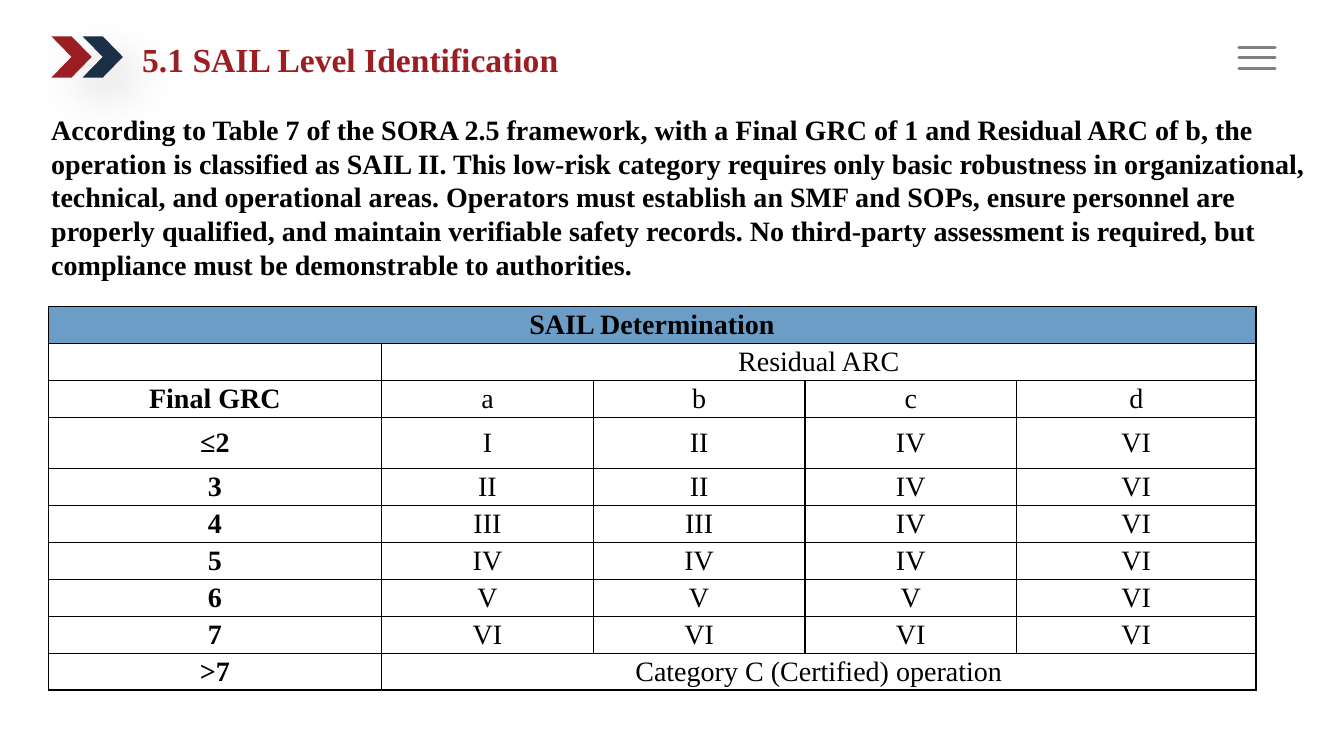
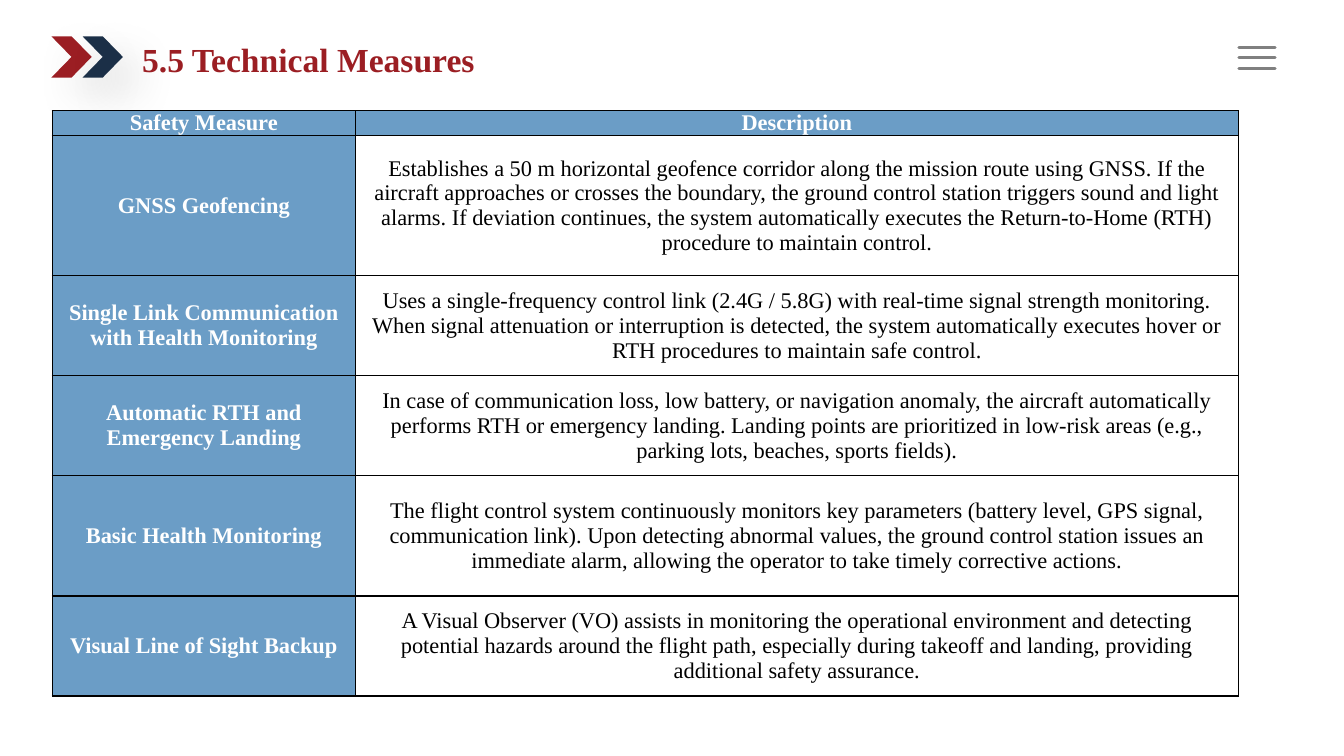
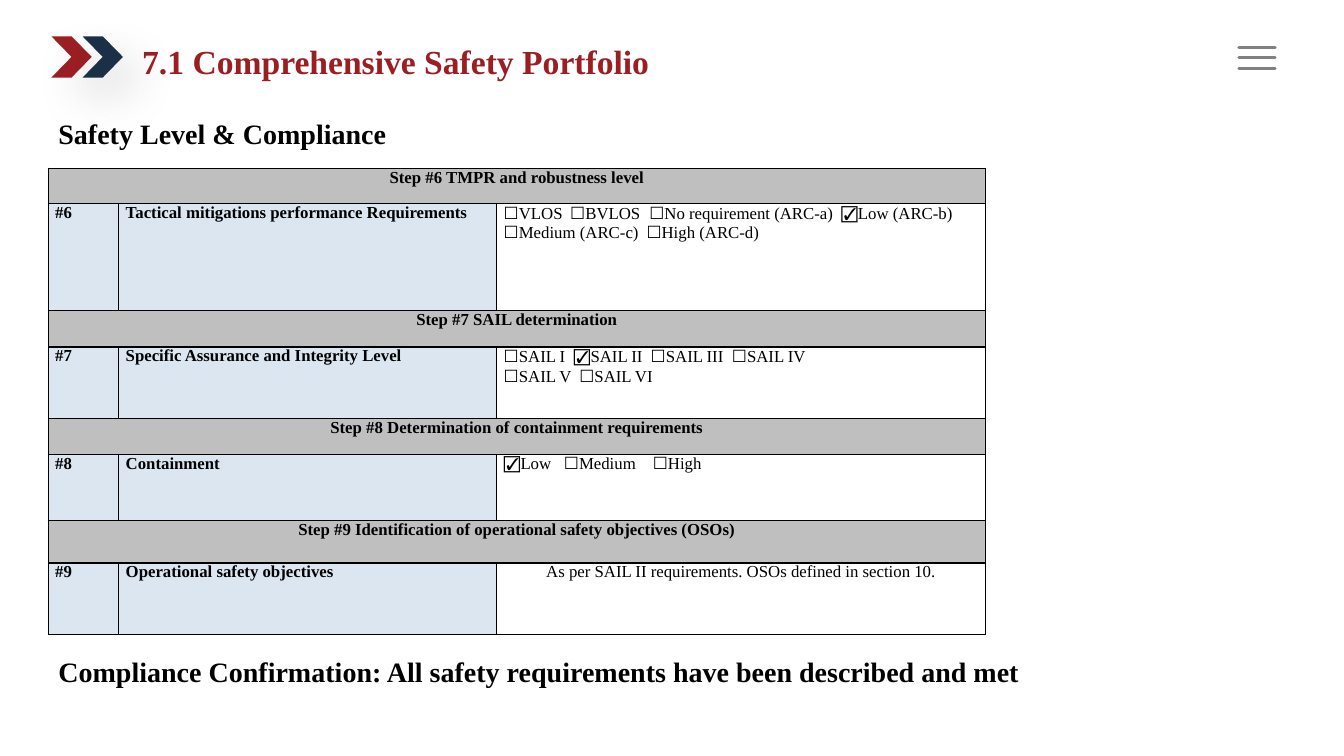
from lxml import etree
from pptx import Presentation
from pptx import util as u
from pptx.dml.color import RGBColor
from pptx.enum import shapes, text
from pptx.oxml import ns

RED = RGBColor(0x9B, 0x1E, 0x23)
NAVY = RGBColor(0x1B, 0x2F, 0x47)
GRAY = RGBColor(0x80, 0x80, 0x80)
SILVER = RGBColor(0xBF, 0xBF, 0xBF)
BLUE = RGBColor(0x6B, 0x9D, 0xC6)
PALE_BLUE = RGBColor(0xDC, 0xE6, 0xF1)
BLACK = RGBColor(0, 0, 0)
WHITE = RGBColor(0xFF, 0xFF, 0xFF)
SERIF = "Times New Roman"
SYMBOLS = "Karla"
LEFT = text.PP_ALIGN.LEFT
CENTER = text.PP_ALIGN.CENTER


def add_grid(slide, left, top, column_widths, row_heights, margin, anchor):
    table = slide.shapes.add_table(
        len(row_heights), len(column_widths), u.Pt(left), u.Pt(top),
        u.Pt(sum(column_widths)), u.Pt(sum(row_heights))).table
    table.first_row = False
    table.horz_banding = False
    for column, width in zip(table.columns, column_widths):
        column.width = u.Pt(width)
    for row, height in zip(table.rows, row_heights):
        row.height = u.Pt(height)
    for cell in table.iter_cells():
        cell.margin_left = cell.margin_right = u.Pt(margin)
        cell.margin_top = cell.margin_bottom = 0
        cell.vertical_anchor = anchor
        properties = cell._tc.get_or_add_tcPr()
        for side in ("a:lnL", "a:lnR", "a:lnT", "a:lnB"):
            border = etree.SubElement(properties, ns.qn(side), w=str(u.Pt(1)))
            solid = etree.SubElement(border, ns.qn("a:solidFill"))
            etree.SubElement(solid, ns.qn("a:srgbClr"), val=str(BLACK))
        cell.fill.solid()
        cell.fill.fore_color.rgb = WHITE
    return table


def write(paragraph, content, size, bold=True, color=BLACK, alignment=LEFT):
    if content:
        paragraph.text = content
    paragraph.alignment = alignment
    paragraph.font.name = SERIF
    paragraph.font.size = u.Pt(size)
    paragraph.font.bold = bold
    paragraph.font.color.rgb = color


presentation = Presentation()
presentation.slide_width = u.Pt(960)
presentation.slide_height = u.Pt(540)
layout = presentation.slide_layouts[5]
for placeholder in list(layout.placeholders)[1:]:
    placeholder.element.getparent().remove(placeholder.element)

slides = []
for title_text, width, height in (
        ("5.1 SAIL Level Identification", 586, 56.2),
        ("5.5 Technical Measures", 586, 56.2),
        ("7.1 Comprehensive Safety Portfolio", 428, 59.8)):
    slide = presentation.slides.add_slide(layout)
    title = slide.shapes.title
    title.left, title.top = u.Pt(94.3), u.Pt(15.8)
    title.width, title.height = u.Pt(width), u.Pt(height)
    title.text_frame.vertical_anchor = text.MSO_ANCHOR.MIDDLE
    title_paragraph = title.text_frame.paragraphs[0]
    write(title_paragraph, title_text, 24, color=RED)
    title_paragraph.line_spacing = 0.9
    slides.append(slide)
sail_slide, measures_slide, portfolio_slide = slides

for left, fill in ((36.7, RED), (59, NAVY)):
    chevron = sail_slide.shapes.add_shape(
        shapes.MSO_SHAPE.CHEVRON, u.Pt(left), u.Pt(25.9), u.Pt(28.8), u.Pt(29.5))
    chevron.fill.solid()
    chevron.fill.fore_color.rgb = fill
    chevron.line.fill.background()
    chevron.shadow.inherit = False
    effects = chevron.element.spPr.find(ns.qn("a:effectLst"))
    shadow = etree.SubElement(
        effects, ns.qn("a:outerShdw"), blurRad=str(u.Pt(32)), dist=str(u.Pt(19)),
        dir="2700000", algn="tl", rotWithShape="0")
    shade = etree.SubElement(shadow, ns.qn("a:srgbClr"), val=str(BLACK))
    etree.SubElement(shade, ns.qn("a:alpha"), val="14000")
    layout.shapes.element.append(chevron.element)

for index in range(3):
    y = u.Pt(33.7 + 7.5 * index)
    menu_line = sail_slide.shapes.add_connector(
        shapes.MSO_CONNECTOR.STRAIGHT, u.Pt(885), y, u.Pt(910.8), y)
    menu_line.line.color.rgb = GRAY
    menu_line.line.width = u.Pt(2.25)
    menu_line.line._get_or_add_ln().set("cap", "rnd")
    etree.SubElement(menu_line.element.spPr, ns.qn("a:effectLst"))
    layout.shapes.element.append(menu_line.element)

for slide, left, top, width, height, content in (
        (sail_slide, 29.5, 77, 931, 128,
         "According to Table 7 of the SORA 2.5 framework, with a Final GRC of 1 and "
         "Residual ARC of b, the operation is classified as SAIL II. This low-risk "
         "category requires only basic robustness in organizational, technical, and "
         "operational areas. Operators must establish an SMF and SOPs, ensure personnel "
         "are properly qualified, and maintain verifiable safety records. No third-party "
         "assessment is required, but compliance must be demonstrable to authorities."),
        (portfolio_slide, 34.6, 80, 840, 31.7, "Safety Level & Compliance"),
        (portfolio_slide, 34.6, 463.7, 840, 31.7,
         "Compliance Confirmation: All safety requirements have been described and met")):
    box = slide.shapes.add_textbox(u.Pt(left), u.Pt(top), u.Pt(width), u.Pt(height))
    box.text_frame.word_wrap = True
    write(box.text_frame.paragraphs[0], content, 20)

sail_rows = (
    ("SAIL Determination", "", "", "", ""),
    ("", "Residual ARC", "", "", ""),
    ("Final GRC", "a", "b", "c", "d"),
    ("≤2", "I", "II", "IV", "VI"),
    ("3", "II", "II", "IV", "VI"),
    ("4", "III", "III", "IV", "VI"),
    ("5", "IV", "IV", "IV", "VI"),
    ("6", "V", "V", "V", "VI"),
    ("7", "VI", "VI", "VI", "VI"),
    (">7", "Category C (Certified) operation", "", "", ""),
)
sail_table = add_grid(
    sail_slide, 34.4, 219, (238.2, 151.2, 151.2, 151.2, 171),
    [36.4 if row[0] == "≤2" else 26.4 for row in sail_rows], 5, text.MSO_ANCHOR.MIDDLE)
for row_index, row in enumerate(sail_rows):
    for column_index, content in enumerate(row):
        cell = sail_table.cell(row_index, column_index)
        write(cell.text_frame.paragraphs[0], content, 20,
              bold=column_index == 0, alignment=CENTER)
for row_index, first_column in ((0, 0), (1, 1), (9, 1)):
    sail_table.cell(row_index, first_column).merge(sail_table.cell(row_index, 4))
sail_table.cell(0, 0).fill.fore_color.rgb = BLUE

measures = (
    ("Safety Measure", "Description"),
    ("GNSS Geofencing",
     "Establishes a 50 m horizontal geofence corridor along the mission route using GNSS. "
     "If the aircraft approaches or crosses the boundary, the ground control station "
     "triggers sound and light alarms. If deviation continues, the system automatically "
     "executes the Return-to-Home (RTH) procedure to maintain control."),
    ("Single Link Communication with Health Monitoring",
     "Uses a single-frequency control link (2.4G / 5.8G) with real-time signal strength "
     "monitoring. When signal attenuation or interruption is detected, the system "
     "automatically executes hover or RTH procedures to maintain safe control."),
    ("Automatic RTH and Emergency Landing",
     "In case of communication loss, low battery, or navigation anomaly, the aircraft "
     "automatically performs RTH or emergency landing. Landing points are prioritized in "
     "low-risk areas (e.g., parking lots, beaches, sports fields)."),
    ("Basic Health Monitoring",
     "The flight control system continuously monitors key parameters (battery level, GPS "
     "signal, communication link). Upon detecting abnormal values, the ground control "
     "station issues an immediate alarm, allowing the operator to take timely corrective "
     "actions."),
    ("Visual Line of Sight Backup",
     "A Visual Observer (VO) assists in monitoring the operational environment and "
     "detecting potential hazards around the flight path, especially during takeoff and "
     "landing, providing additional safety assurance."),
)
measures_table = add_grid(
    measures_slide, 37.3, 79.2, (216.6, 630.6), (16, 100, 71.4, 71.4, 86, 71.4), 4.5,
    text.MSO_ANCHOR.MIDDLE)
for row_index, row in enumerate(measures):
    for column_index, content in enumerate(row):
        cell = measures_table.cell(row_index, column_index)
        heading = row_index == 0 or column_index == 0
        cell.fill.fore_color.rgb = BLUE if heading else WHITE
        write(cell.text_frame.paragraphs[0], content, 16, bold=heading,
              color=WHITE if heading else BLACK, alignment=CENTER)

steps = (
    ("Step #6 TMPR and robustness level", "#6",
     "Tactical mitigations performance Requirements",
     (((47.5, 104, 241),
       ("☐VLOS", "☐BVLOS", "☐No requirement (ARC-a)", "☑Low (ARC-b)")),
      ((102,), ("☐Medium (ARC-c)", "☐High (ARC-d)")))),
    ("Step #7 SAIL determination", "#7", "Specific Assurance and Integrity Level",
     (((50, 105, 163), ("☐SAIL I", "☑SAIL II", "☐SAIL III", "☐SAIL IV")),
      ((54,), ("☐SAIL V", "☐SAIL VI")))),
    ("Step #8 Determination of containment requirements", "#8", "Containment",
     (((43, 106.5), ("☑Low", "☐Medium", "☐High")),)),
    ("Step #9 Identification of operational safety objectives (OSOs)", "#9",
     "Operational safety objectives", ()),
)
portfolio_table = add_grid(
    portfolio_slide, 34.4, 120.2, (50.4, 270, 349.2),
    (25.4, 76.3, 26, 51.2, 25.4, 47.5, 30.2, 51), 5, text.MSO_ANCHOR.TOP)
for step_index, (step, number, requirement, option_lines) in enumerate(steps):
    row_index = 2 * step_index
    banner = portfolio_table.cell(row_index, 0)
    banner.merge(portfolio_table.cell(row_index, 2))
    banner.fill.fore_color.rgb = SILVER
    write(banner.text_frame.paragraphs[0], step, 12, alignment=CENTER)
    for column_index, content in enumerate((number, requirement)):
        cell = portfolio_table.cell(row_index + 1, column_index)
        cell.fill.fore_color.rgb = PALE_BLUE
        write(cell.text_frame.paragraphs[0], content, 12)
    frame = portfolio_table.cell(row_index + 1, 2).text_frame
    for line_index, (stops, options) in enumerate(option_lines):
        paragraph = frame.add_paragraph() if line_index else frame.paragraphs[0]
        tabs = etree.SubElement(paragraph._p.get_or_add_pPr(), ns.qn("a:tabLst"))
        for stop in stops:
            etree.SubElement(tabs, ns.qn("a:tab"), pos=str(u.Pt(stop)), algn="l")
        for option in options:
            mark = paragraph.add_run()
            mark.text = option[0]
            mark.font.name = SYMBOLS
            label = paragraph.add_run()
            label.text = option[1:] if option == options[-1] else option[1:] + "\t"
        write(paragraph, "", 12, bold=False)
write(portfolio_table.cell(7, 2).text_frame.paragraphs[0],
      "As per SAIL II requirements. OSOs defined in section 10.", 12,
      bold=False, alignment=CENTER)

presentation.save("out.pptx")
